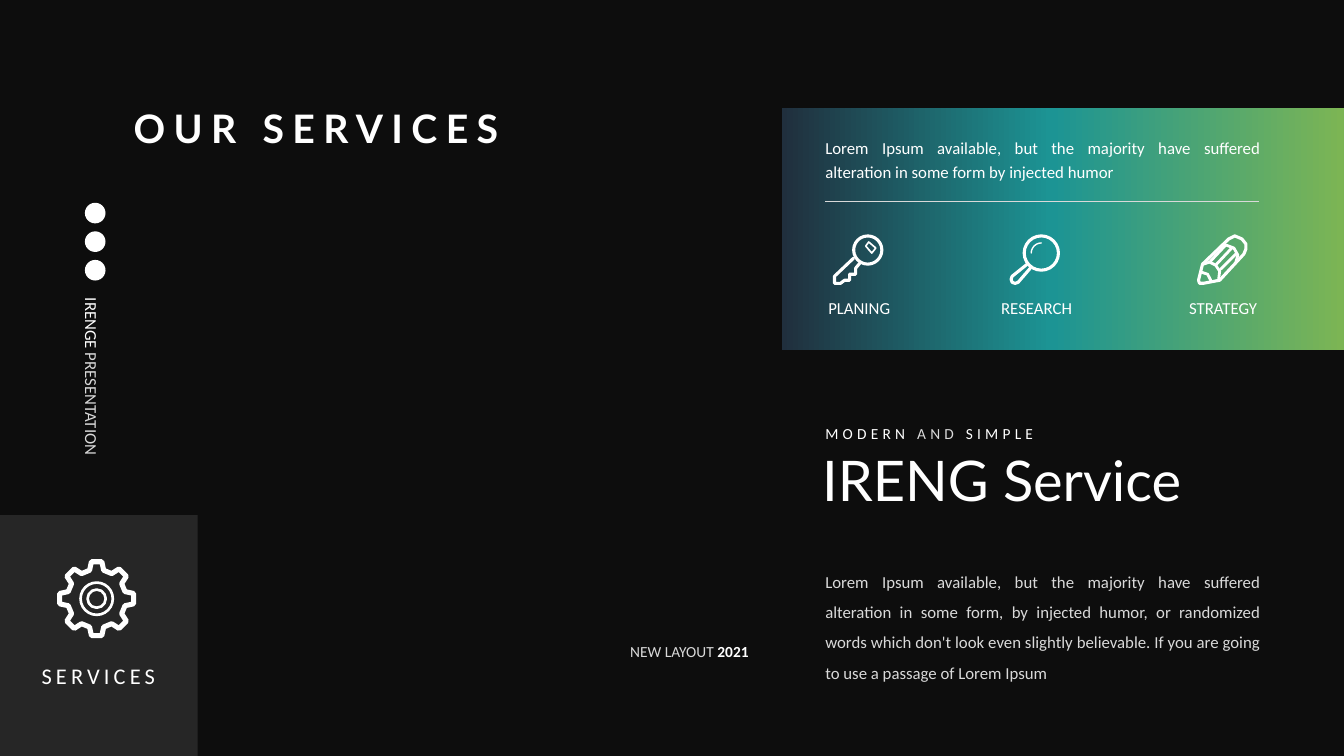
from copy import deepcopy
from math import cos, radians, sin

from lxml.etree import SubElement
from pptx import Presentation
from pptx.dml.color import RGBColor
from pptx.enum.shapes import MSO_CONNECTOR, MSO_SHAPE
from pptx.enum.text import MSO_AUTO_SIZE, PP_ALIGN
from pptx.oxml.ns import qn
from pptx.util import Cm, Pt

COLORS = {"back": "0D0D0D", "panel": "262626", "white": "FFFFFF", "soft": "D9D9D9"}
GRADIENT = [(0, "202F3D"), (0.48, "1C9494"), (1, "7CB554")]
DEFAULT_INSETS = (0.25, 0.13, 0.25, 0.13)
BODY_INSETS = (0.25, 0.13, 0.41, 0.1)

SERVICES_PANEL = (-0.02, 12.98, 5, 6.1)
SERVICES_BANNER = (19.71, 2.72, 14.15, 6.1)
BANNER_RULE = (20.8, 5.08, 31.72, 5.08)
SOCIAL_DOTS = {"left": 2.14, "top": 5.11, "size": 0.52, "pitch": 0.72, "count": 3}

TEXTS = [
    {"box": (3.12, 2.51, 11.33, 1.45), "runs": [("OUR SERVICES", "white")],
     "size": 28, "font": "Lato", "bold": True, "spacing": 6},
    {"box": (20.55, 3.23, 11.63, 1.45), "size": 12, "insets": BODY_INSETS,
     "align": PP_ALIGN.JUSTIFY, "lines": 1.2,
     "runs": [("Lorem Ipsum available, but the majority have suffered alteration "
               "in some form by injected humor", "white")]},
    {"box": (-0.02, 16.56, 5, 0.94), "runs": [("SERVICES", "white")],
     "size": 16, "align": PP_ALIGN.CENTER, "spacing": 3},
    {"box": (20.55, 14.02, 11.63, 3.3), "size": 12, "insets": BODY_INSETS,
     "align": PP_ALIGN.JUSTIFY, "lines": 1.5,
     "runs": [("Lorem Ipsum available, but the majority have suffered alteration "
               "in some form, by injected humor, or randomized words which don't look "
               "even slightly believable. If you are going to use a passage of "
               "Lorem Ipsum", "soft")]},
    {"box": (20.47, 11.56, 11.71, 1.5), "runs": [("IRENG Service", "white")],
     "size": 40, "font": "Lato", "lines": 0.7},
    {"box": (20.55, 10.57, 6.17, 0.74), "size": 11, "spacing": 3,
     "runs": [("MODERN ", "white"), ("AND", "soft"), (" SIMPLE", "white")]},
    {"box": (-0.2, 9.42, 5.31, 0.99), "size": 12, "insets": BODY_INSETS,
     "align": PP_ALIGN.JUSTIFY, "lines": 1.5, "turn": 90,
     "runs": [("IRENGE", "white"), (" PRESENTATION", "soft")]},
    {"box": (14.83, 16.05, 4.45, 0.71), "size": 11, "insets": BODY_INSETS,
     "align": PP_ALIGN.RIGHT, "runs": [("NEW LAYOUT ", "soft"), ("2021", "white", True)]},
]


def polar(cx, cy, radius, angle):
    return cx + radius * cos(radians(angle)), cy + radius * sin(radians(angle))


GRID = 50
ICON_SIZE = 1.27
GEAR_TOOTH = [(29, -14), (37, -8), (37, 8), (29, 14)]
GEAR = [polar(40, 40, radius, tooth * 45 + angle)
        for tooth in range(8) for radius, angle in GEAR_TOOTH]
GLARE = [polar(32, 18, 10, angle) for angle in range(180, 271, 15)]

KEY = {
    "circles": [(35, 15, 14, 2.2)],
    "strokes": [
        ([(21, 23), (2, 41), (2, 48), (8, 48), (12, 45), (17, 45), (17, 39),
          (23, 39), (23, 33), (28, 27)], False, 2.2),
        ([(33, 11), (36, 7), (43, 13), (39, 18)], True, 1.2)],
}
MAGNIFIER = {
    "circles": [(32, 18, 17, 2.2)],
    "strokes": [
        ([(18, 29), (3, 41), (2, 44), (3, 47), (6, 48), (9, 47), (21, 33)], False, 2.2),
        (GLARE, False, 1)],
}
PENCIL = {
    "circles": [],
    "strokes": [
        ([(1, 45), (5, 29), (31, 4), (37, 1), (44, 4), (48, 9), (48, 14), (46, 19),
          (22, 45), (6, 48), (2, 48)], True, 2.2),
        ([(6, 29), (12, 27), (18, 30), (22, 36), (21, 44)], False, 2),
        ([(4, 37), (10, 39), (13, 45)], False, 2),
        ([(12, 27), (28, 10), (36, 13), (40, 20), (38, 27)], False, 2),
        ([(18, 30), (34, 13)], False, 2),
        ([(23, 34), (39, 18)], False, 2)],
}
GEARWHEEL = {
    "circles": [(40, 40, 16, 1.9), (40, 40, 9, 1.9)],
    "strokes": [(GEAR, True, 3.6)],
}
SERVICES = [
    ("PLANING", 19.61, 20.98, KEY),
    ("RESEARCH", 24.08, 25.43, MAGNIFIER),
    ("STRATEGY", 28.78, 30.18, PENCIL),
]
ICON_TOP = 5.92
GEAR_AT = (1.42, 14.07)


def rgb(name):
    return RGBColor.from_string(COLORS[name])


def add_text(s, box, runs, size, font="Calibri", bold=None, spacing=0, align=None,
             lines=None, insets=DEFAULT_INSETS, turn=0):
    sp = s.shapes.add_textbox(*map(Cm, box))
    sp.rotation = turn
    tf = sp.text_frame
    tf.word_wrap = True
    tf.auto_size = MSO_AUTO_SIZE.SHAPE_TO_FIT_TEXT
    tf.margin_left, tf.margin_top, tf.margin_right, tf.margin_bottom = map(Cm, insets)
    p = tf.paragraphs[0]
    p.alignment, p.line_spacing = align, lines
    p.font.name, p.font.size, p.font.bold = font, Pt(size), bold
    if len(runs) == 1:
        p.font.color.rgb = rgb(runs[0][1])
    for text, color, *strong in runs:
        r = p.add_run()
        r.text = text
        if len(runs) > 1:
            r.font.color.rgb = rgb(color)
        if strong:
            r.font.bold = True
        if spacing:
            r._r.get_or_add_rPr().set("spc", str(spacing * 100))


def add_filled(s, kind, box, color):
    sp = s.shapes.add_shape(kind, *map(Cm, box))
    sp.shadow.inherit = False
    sp.line.fill.background()
    sp.fill.solid()
    sp.fill.fore_color.rgb = rgb(color)
    return sp


def outline(sp, width):
    sp.shadow.inherit = False
    sp.fill.background()
    sp.line.color.rgb = rgb("white")
    sp.line.width = Pt(width)
    ln = sp.line._get_or_add_ln()
    ln.set("cap", "rnd")
    SubElement(ln, qn("a:round"))


def add_icon(s, left, top, icon):
    unit = ICON_SIZE / GRID
    shapes = s.shapes.add_group_shape().shapes
    for cx, cy, radius, width in icon["circles"]:
        side = Cm(2 * radius * unit)
        sp = shapes.add_shape(MSO_SHAPE.OVAL, Cm(left + (cx - radius) * unit),
                              Cm(top + (cy - radius) * unit), side, side)
        outline(sp, width)
    for points, closed, width in icon["strokes"]:
        spots = [(Cm(left + x * unit), Cm(top + y * unit)) for x, y in points]
        fb = shapes.build_freeform(*spots[0])
        fb.add_line_segments(spots[1:], close=closed)
        outline(fb.convert_to_shape(), width)


def main():
    prs = Presentation()
    prs.slide_width, prs.slide_height = Cm(33.87), Cm(19.05)
    s = prs.slides.add_slide(prs.slide_layouts[6])
    s.background.fill.solid()
    s.background.fill.fore_color.rgb = rgb("back")

    add_filled(s, MSO_SHAPE.RECTANGLE, SERVICES_PANEL, "panel")
    banner = add_filled(s, MSO_SHAPE.RECTANGLE, SERVICES_BANNER, "panel")
    banner.fill.gradient()
    banner.fill.gradient_angle = 0
    stops = banner._element.spPr.find(".//" + qn("a:gsLst"))
    stops.insert(1, deepcopy(stops[0]))
    for stop, (position, color) in zip(banner.fill.gradient_stops, GRADIENT):
        stop.position = position
        stop.color.rgb = RGBColor.from_string(color)

    rule = s.shapes.add_connector(MSO_CONNECTOR.STRAIGHT, *map(Cm, BANNER_RULE))
    rule.line.color.rgb = rgb("soft")
    rule.line.width = Pt(0.5)
    SubElement(rule._element.spPr, qn("a:effectLst"))

    for text in TEXTS:
        add_text(s, **text)
    for name, label_left, icon_left, icon in SERVICES:
        add_text(s, (label_left, 7.47, 4.09, 0.69), [(name, "white")], 12,
                 align=PP_ALIGN.CENTER, lines=0.8)
        add_icon(s, icon_left, ICON_TOP, icon)
    add_icon(s, *GEAR_AT, GEARWHEEL)

    d = SOCIAL_DOTS
    for i in range(d["count"]):
        box = (d["left"], d["top"] + i * d["pitch"], d["size"], d["size"])
        add_filled(s, MSO_SHAPE.OVAL, box, "white")
    prs.save("out.pptx")


if __name__ == "__main__":
    main()
